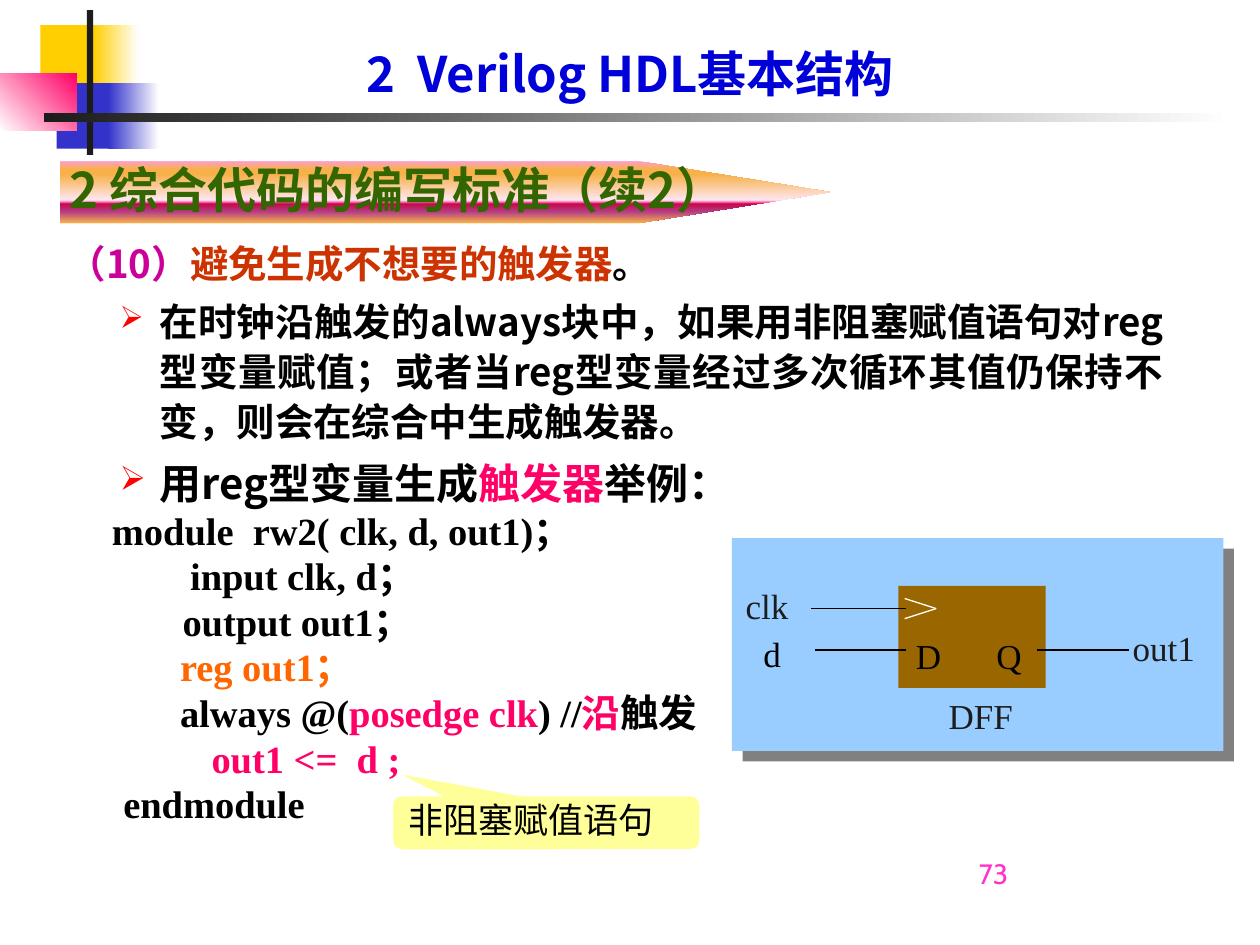
from lxml import etree
from pptx import Presentation, util as u
from pptx.dml.color import RGBColor
from pptx.enum import shapes, text
from pptx.oxml.ns import qn

COLORS = {
    "yellow": "FFCF01", "blue": "3333CC", "white": "FFFFFF", "pink": "FF0066",
    "ink": "1C1C1C", "black": "000000", "title": "0000D8", "page": "FF33CC",
    "purple": "CC0099", "rust": "CC3300", "red": "FF0000", "orange": "FF6600",
    "green": "336600", "note": "FFFF99", "sky": "99CCFF", "brown": "996600",
    "gray": "808080", "rose": "FC9FCB", "amber": "F8B049", "blush": "FEE7F2",
    "magenta": "F952A0", "crimson": "C50849", "plum": "B43E85",
}
SANS, JP, SERIF, PLAIN = "Noto Sans CJK SC", "Noto Sans CJK JP", "Times New Roman", "Cabin"

# Places are in cells of a grid with 100 columns and 75 rows: left, top, width, height
COLUMNS, ROWS = 100, 75
CELL = u.Inches(10) // COLUMNS

# Decoration: place, colour stops (one stop is a plain fill), angle
ORNAMENTS = [
    ((3.2, 2, 4.8, 5.2), [(0, "yellow")], 0),
    ((7.4, 2, 3.6, 5.2), [(0, "yellow"), (100, "white")], 0),
    ((4.5, 6.6, 4.6, 5.2), [(0, "blue")], 0),
    ((8.6, 6.6, 4, 5.2), [(0, "blue"), (100, "white")], 0),
    ((0, 5.8, 6.1, 4.6), [(0, "white"), (100, "pink")], 315),
    ((6.9, 0.8, 0.5, 11.5), [(0, "ink")], 0),
    ((3.5, 9, 94.3, 0.7), [(0, "ink"), (100, "white")], 0),
]
BANNER_STOPS = [(0, "rose"), (13, "amber"), (21, "amber"), (63, "blush"),
                (67, "magenta"), (69, "crimson"), (82, "plum"), (100, "amber")]

# Body: runs are (text, colour)
HEADING = [("（10）", "purple"), ("避免生成不想要的触发器", "rust"), ("。", "black")]
BULLETS = [
    (22, [("在时钟沿触发的always块中，如果用非阻塞赋值语句对reg型变量赋值；"
           "或者当reg型变量经过多次循环其值仍保持不变，则会在综合中生成触发器。", "black")]),
    (24, [("用reg型变量生成", "black"), ("触发器", "pink"), ("举例：", "black")]),
]
# Code: indent in cells, runs
CODE = [
    (3.5, [("module  rw2( clk, d, out1)；", "black")]),
    (9.7, [("input clk, d；", "black")]),
    (9.1, [("output out1；", "black")]),
    (8.9, [("reg out1；", "orange")]),
    (8.9, [("always @(", "black"), ("posedge clk", "pink"), (") //", "black"),
           ("沿", "pink"), ("触发", "black")]),
    (11.4, [("out1 <=  d ;", "pink")]),
    (4.4, [("endmodule", "black")]),
]

# Flip-flop diagram
LABELS = [  # text, place, fill, colour
    ("d", (59.6, 49.7, 4.2, 4.3), "sky", "black"),
    ("clk", (58.2, 45.9, 6.6, 4.3), "sky", "ink"),
    ("out1", (88.9, 49.2, 7.5, 4.3), "sky", "ink"),
    ("D", (71.7, 49.9, 3.3, 7.7), None, "black"),
    ("Q", (78.1, 49.9, 3.4, 4.3), "brown", "black"),
    ("DFF", (74.3, 54.6, 7.5, 4.3), None, "ink"),
]
WIRES = [  # from, to, colour
    ((82.3, 51.6), (89.6, 51.6), "black"),
    ((64.7, 51.6), (71.9, 51.6), "black"),
    ((64.4, 48.3), (71.9, 48.3), "black"),
    ((71.8, 47.5), (74.3, 48.3), "white"),
    ((74.3, 48.3), (71.8, 49.1), "white"),
]

deck = Presentation()
deck.slide_width, deck.slide_height = CELL * COLUMNS, CELL * ROWS
page = deck.slides.add_slide(deck.slide_layouts[6])


def grid(*cells):
    return [round(c * CELL) for c in cells]


def rgb(name):
    return RGBColor.from_string(COLORS[name])


def child(parent, tag, **attributes):
    return etree.SubElement(parent, qn(tag), {k: str(v) for k, v in attributes.items()})


def add_box(place, stops, angle=0, kind=shapes.MSO_SHAPE.RECTANGLE):
    box = page.shapes.add_shape(kind, *grid(*place))
    box.shadow.inherit = False
    box.line.fill.background()
    if len(stops) == 1:
        box.fill.solid()
        box.fill.fore_color.rgb = rgb(stops[0][1])
        return box
    box.fill.gradient()
    gradient = box.element.spPr.find(qn("a:gradFill"))
    for old in list(gradient):
        gradient.remove(old)
    stop_list = child(gradient, "a:gsLst")
    for position, color in stops:
        stop = child(stop_list, "a:gs", pos=position * 1000)
        child(stop, "a:srgbClr", val=COLORS[color])
    child(gradient, "a:lin", ang=angle * 60000, scaled=0)
    return box


def add_runs(para, runs, size, font, bold=False, align=text.PP_ALIGN.LEFT):
    para.alignment = align
    for words, color in runs:
        span = para.add_run()
        span.text = words
        span.font.size, span.font.bold, span.font.name = u.Pt(size), bold, font
        span.font.color.rgb = rgb(color)
        asian = SANS if font in (SERIF, PLAIN) else font
        child(span.font._element, "a:ea", typeface=asian)


def add_text(place):
    box = page.shapes.add_textbox(*grid(*place))
    box.text_frame.word_wrap = True
    return box


# Decoration, page number and title
for place, stops, angle in ORNAMENTS:
    add_box(place, stops, angle)
number = add_text((76.7, 67.5, 20.8, 5))
add_runs(number.text_frame.paragraphs[0], [("73", "page")], 16, PLAIN)
title = add_text((7.5, 0.9, 85, 7.4)).text_frame
title.vertical_anchor = text.MSO_ANCHOR.BOTTOM
title.margin_bottom = u.Inches(0.02)
add_runs(title.paragraphs[0], [("2  Verilog HDL基本结构", "title")], 28, SANS, True,
         text.PP_ALIGN.CENTER)

# Body: heading, bullets and code in one box
body = add_text((4.4, 18.2, 88.9, 48.9)).text_frame
# indent, hanging, line height, space before, size, font, runs
lines = [(2, 2, 28.8, 0, 22, SANS, HEADING)]
lines += [(7.3, 3.2, size * 1.3, 4.8, size, SANS, runs) for size, runs in BULLETS]
lines += [(indent, 0, 23.8, 2.2, 22, SERIF, runs) for indent, runs in CODE]
for i, (indent, hanging, height, before, size, font, runs) in enumerate(lines):
    para = body.add_paragraph() if i else body.paragraphs[0]
    para.line_spacing, para.space_before = u.Pt(height), u.Pt(before)
    properties = para._p.get_or_add_pPr()
    left, hang = grid(indent, hanging)
    properties.set("marL", str(left))
    properties.set("indent", str(-hang))
    if 0 < i <= len(BULLETS):
        child(child(properties, "a:buClr"), "a:srgbClr", val=COLORS["red"])
        child(properties, "a:buSzPct", val=80000)
        child(properties, "a:buChar", char="➢")
    align = text.PP_ALIGN.LEFT if font == SERIF else text.PP_ALIGN.JUSTIFY
    add_runs(para, runs, size, font, True, align)

# Section banner
banner = add_box((4.8, 12.8, 61.1, 4.9), BANNER_STOPS, 90, shapes.MSO_SHAPE.PENTAGON)
banner.adjustments[0] = 3.09
frame = banner.text_frame
frame.word_wrap = False
frame.vertical_anchor = text.MSO_ANCHOR.MIDDLE
frame.margin_left = frame.margin_right = u.Inches(0.08)
frame.margin_top = frame.margin_bottom = u.Inches(0.04)
frame.paragraphs[0].line_spacing = 0.9
add_runs(frame.paragraphs[0], [("2 综合代码的编写标准（续2）", "green")], 28, JP, True,
         text.PP_ALIGN.CENTER)

# Callout on the assignment
callout = add_box((31.2, 63.2, 24.3, 4.2), [(0, "note")],
                  kind=shapes.MSO_SHAPE.ROUNDED_RECTANGULAR_CALLOUT)
for i, value in enumerate((-0.47, -0.91, 0.17)):
    callout.adjustments[i] = value
callout.text_frame.vertical_anchor = text.MSO_ANCHOR.BOTTOM
add_runs(callout.text_frame.paragraphs[0], [("非阻塞赋值语句", "black")], 20, PLAIN)

# Diagram: panel with shadow, flip-flop, labels, wires
panel = add_box((58.1, 42.7, 39, 16.9), [(0, "sky")])
effects = panel.element.spPr.find(qn("a:effectLst"))
shadow = child(effects, "a:outerShdw", dist=u.Pt(8.5), dir=45 * 60000, algn="ctr", rotWithShape=0)
child(shadow, "a:srgbClr", val=COLORS["gray"])
add_box((71.3, 46.5, 11.7, 8.1), [(0, "brown")])
for words, place, fill, color in LABELS:
    label = add_box(place, [(0, fill)]) if fill else add_text(place)
    label.text_frame.vertical_anchor = text.MSO_ANCHOR.TOP
    add_runs(label.text_frame.paragraphs[0], [(words, color)], 20, SERIF)
for start, end, color in WIRES:
    wire = page.shapes.add_connector(shapes.MSO_CONNECTOR.STRAIGHT, *grid(*start, *end))
    wire.line.color.rgb, wire.line.width = rgb(color), u.Pt(0.75)
    child(wire.element.spPr, "a:effectLst")

deck.save("out.pptx")
